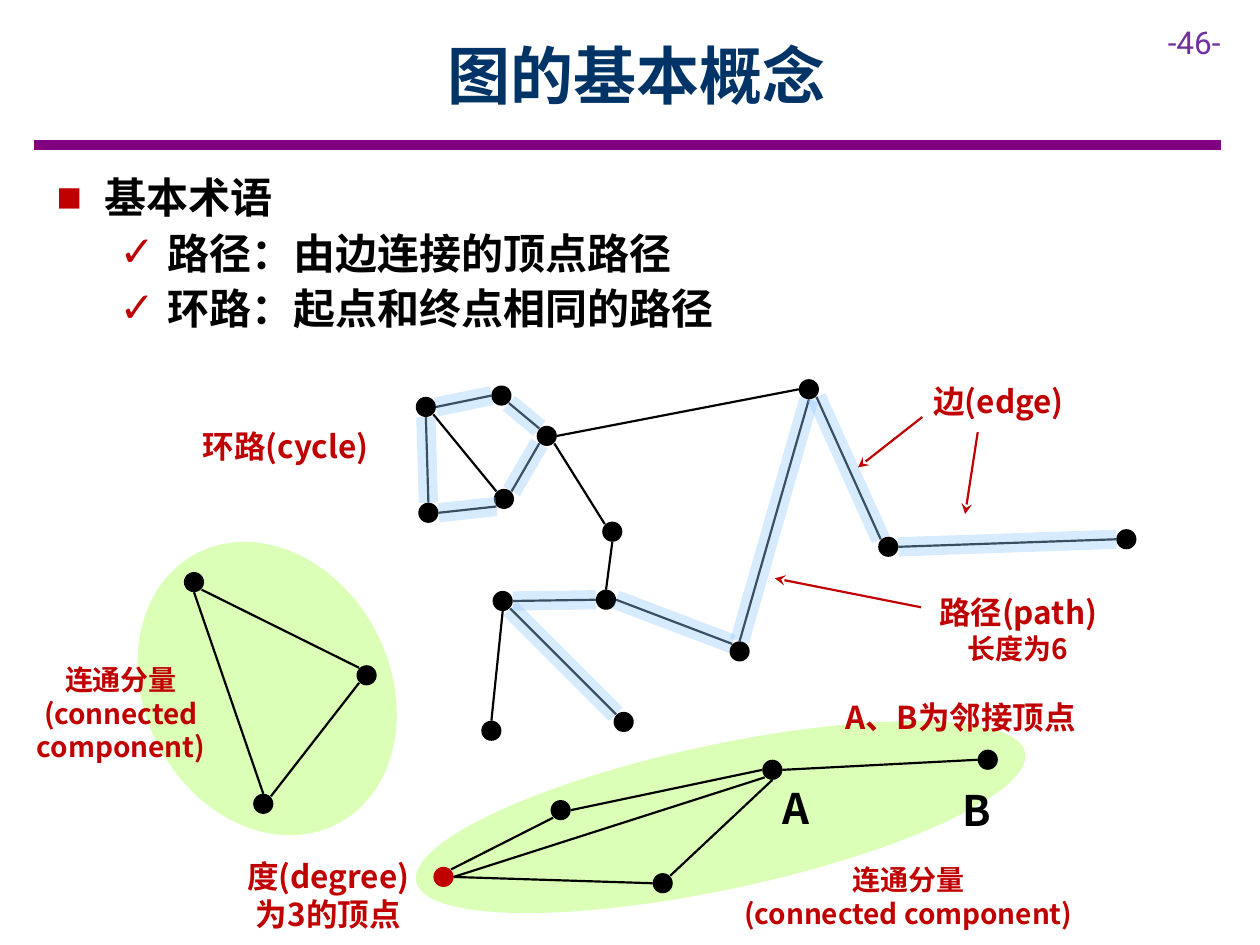
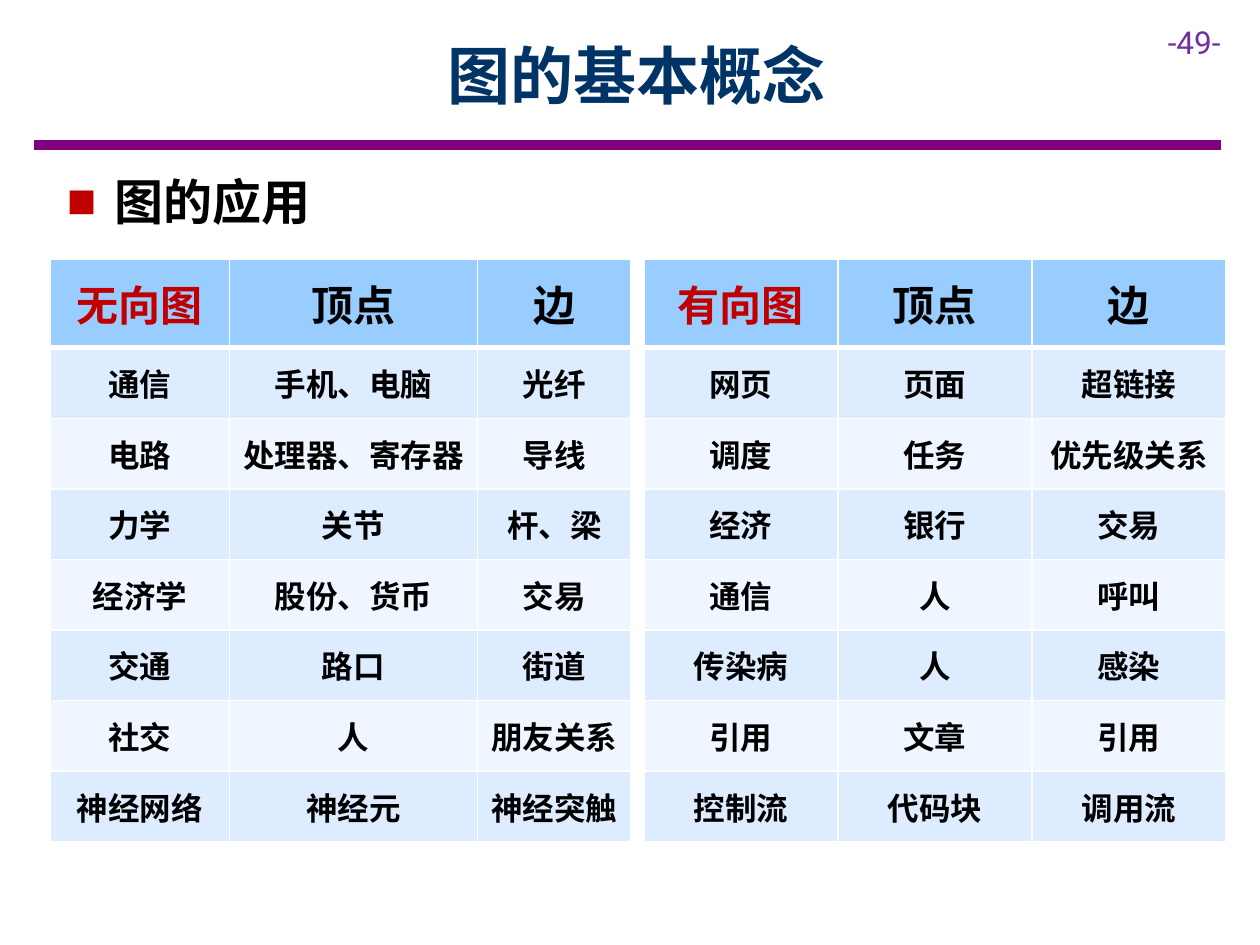
from dataclasses import dataclass
from typing import NamedTuple

from lxml import etree
from pptx import Presentation
from pptx.dml.color import RGBColor
from pptx.enum import shapes as kinds, text as txt
from pptx.oxml.ns import qn
from pptx.util import Emu, Inches, Pt


@dataclass(frozen=True)
class Theme:
    cjk: str = "Noto Sans CJK SC"
    number_font: str = "Roboto"
    black: str = "000000"
    white: str = "FFFFFF"
    red: str = "C00000"
    navy: str = "003366"
    purple: str = "800080"
    page_purple: str = "7030A0"
    lime: str = "99FF33"
    blue: str = "99CCFF"
    bands: tuple[str, str] = ("DEECFF", "EFF6FF")
    title_size: int = 36
    large: int = 28
    heading: int = 24
    normal: int = 18
    small: int = 16


THEME = Theme()


class Line(NamedTuple):
    text: str
    size: int = THEME.normal


class Item(NamedTuple):
    text: str
    size: int = THEME.heading
    level: int = 0


class Label(NamedTuple):
    box: tuple[float, float, float, float]
    lines: list[Line]
    centered: bool = False
    color: str = THEME.red


class Component(NamedTuple):
    box: tuple[float, float, float, float]
    rotation: float


class Edge(NamedTuple):
    start: str
    start_side: str
    end: str
    end_side: str
    highlighted: bool = False


class UseTable(NamedTuple):
    left: float
    widths: tuple[float, ...]
    rows: list[str]


NODE_RADIUS = 0.08
DIAGONAL = 0.06
SIDES = {
    "N": (0, -NODE_RADIUS), "S": (0, NODE_RADIUS),
    "W": (-NODE_RADIUS, 0), "E": (NODE_RADIUS, 0),
    "NW": (-DIAGONAL, -DIAGONAL), "NE": (DIAGONAL, -DIAGONAL),
    "SW": (-DIAGONAL, DIAGONAL), "SE": (DIAGONAL, DIAGONAL),
}

# Centres of the vertices
NODES = {
    "ring1": (3.38, 3.23), "ring2": (3.98, 3.14), "ring3": (4.34, 3.46),
    "ring4": (4.00, 3.96), "ring5": (3.40, 4.07),
    "stem": (4.86, 4.22), "fork": (4.81, 4.76), "branch": (3.99, 4.77),
    "leaf1": (3.90, 5.80), "leaf2": (4.95, 5.73),
    "valley": (5.87, 5.17), "peak": (6.42, 3.09),
    "bend": (7.05, 4.34), "far": (8.94, 4.28),
    "tri1": (1.54, 4.62), "tri2": (2.91, 5.36), "tri3": (2.09, 6.38),
    "degree3": (3.52, 6.96), "upper": (4.45, 6.43), "lower": (5.26, 7.01),
    "A": (6.13, 6.11), "B": (7.84, 6.03),
}

EDGES = [
    Edge("ring1", "S", "ring5", "N", True),
    Edge("ring1", "E", "ring2", "W", True),
    Edge("ring2", "SE", "ring3", "NW", True),
    Edge("ring3", "SW", "ring4", "NE", True),
    Edge("ring5", "E", "ring4", "SW", True),
    Edge("ring1", "SE", "ring4", "NW"),
    Edge("ring3", "SE", "stem", "NW"),
    Edge("stem", "S", "fork", "N"),
    Edge("fork", "W", "branch", "E", True),
    Edge("leaf1", "N", "branch", "S"),
    Edge("branch", "SE", "leaf2", "NW", True),
    Edge("fork", "E", "valley", "NW", True),
    Edge("peak", "S", "valley", "N", True),
    Edge("peak", "SE", "bend", "NW", True),
    Edge("far", "W", "bend", "E", True),
    Edge("peak", "W", "ring3", "E"),
    Edge("upper", "E", "A", "W"),
    Edge("A", "E", "B", "W"),
    Edge("lower", "NE", "A", "S"),
    Edge("degree3", "E", "A", "SW"),
    Edge("degree3", "NE", "upper", "SW"),
    Edge("degree3", "E", "lower", "W"),
    Edge("tri1", "SE", "tri2", "NW"),
    Edge("tri3", "NE", "tri2", "SW"),
    Edge("tri3", "N", "tri1", "S"),
]

COMPONENTS = [Component((0.91, 4.49, 2.42, 1.95), 62.6),
              Component((3.25, 5.91, 4.94, 1.15), 348)]

COMPONENT_NAME = [Line("连通分量", THEME.small),
                  Line("(connected component)", THEME.small)]
LABELS = [
    Label((7.31, 2.98, 1.28, 0.4), [Line("边(edge)")]),
    Label((6.61, 5.49, 2.08, 0.4), [Line("A、B为邻接顶点")]),
    Label((1.51, 3.34, 1.53, 0.4), [Line("环路(cycle)")]),
    Label((7.34, 4.66, 1.48, 0.67),
          [Line("路径(path)"), Line("长度为6", THEME.small)], True),
    Label((1.77, 6.75, 1.67, 0.71), [Line("度(degree)为3的顶点")], True),
    Label((5.41, 6.8, 3.6, 0.64), COMPONENT_NAME, True),
    Label((-0.16, 5.21, 2.24, 0.91), COMPONENT_NAME, True),
    Label((6.11, 6.16, 0.31, 0.5), [Line("A", THEME.heading)], color=THEME.black),
    Label((7.54, 6.18, 0.31, 0.5), [Line("B", THEME.heading)], color=THEME.black),
]

POINTERS = [((7.32, 3.31), (6.81, 3.71)), ((7.76, 3.43), (7.66, 4.08)),
            ((7.31, 4.82), (6.15, 4.59))]

TABLES = [
    UseTable(0.4, (1.42, 1.97, 1.22), [
        "无向图 顶点 边", "通信 手机、电脑 光纤", "电路 处理器、寄存器 导线",
        "力学 关节 杆、梁", "经济学 股份、货币 交易", "交通 路口 街道",
        "社交 人 朋友关系", "神经网络 神经元 神经突触"]),
    UseTable(5.11, (1.54, 1.54, 1.54), [
        "有向图 顶点 边", "网页 页面 超链接", "调度 任务 优先级关系",
        "经济 银行 交易", "通信 人 呼叫", "传染病 人 感染",
        "引用 文章 引用", "控制流 代码块 调用流"]),
]


def rgb(color: str) -> RGBColor:
    return RGBColor.from_string(color)


def inches(values) -> list[Emu]:
    return [Inches(value) for value in values]


def place(shape, box) -> None:
    shape.left, shape.top, shape.width, shape.height = inches(box)


def style(paragraph, size: int, color: str, bold: bool = True, font: str = THEME.cjk) -> None:
    """Set the Latin and East Asian type of a paragraph."""
    paragraph.font.size = Pt(size)
    paragraph.font.bold = bold
    paragraph.font.color.rgb = rgb(color)
    paragraph.font.name = font
    defaults = paragraph._p.pPr.find(qn("a:defRPr"))
    etree.SubElement(defaults, qn("a:ea"), typeface=font)


def set_alpha(holder, percent: int) -> None:
    """Make the solid colour below an XML element partly transparent."""
    color = next(holder.iter(qn("a:srgbClr")))
    etree.SubElement(color, qn("a:alpha"), val=str(percent * 1000))


def add_line(slide, start, end, color: str, width: float, alpha: int = 100, arrow: bool = False) -> None:
    line = slide.shapes.add_connector(kinds.MSO_CONNECTOR.STRAIGHT, *inches((*start, *end)))
    line.line.color.rgb = rgb(color)
    line.line.width = Pt(width)
    properties = line._element.spPr
    if alpha < 100:
        set_alpha(properties, alpha)
    if arrow:
        etree.SubElement(properties.find(qn("a:ln")), qn("a:tailEnd"), type="stealth")
    etree.SubElement(properties, qn("a:effectLst"))


def add_ellipse(slide, box, color: str):
    ellipse = slide.shapes.add_shape(kinds.MSO_SHAPE.OVAL, *inches(box))
    ellipse.shadow.inherit = False
    ellipse.fill.solid()
    ellipse.fill.fore_color.rgb = rgb(color)
    ellipse.line.fill.background()
    return ellipse


def add_text(slide, box):
    frame = slide.shapes.add_textbox(*inches(box)).text_frame
    frame.word_wrap = True
    frame.auto_size = txt.MSO_AUTO_SIZE.SHAPE_TO_FIT_TEXT
    return frame


def add_label(slide, label: Label) -> None:
    frame = add_text(slide, label.box)
    for index, line in enumerate(label.lines):
        paragraph = frame.add_paragraph() if index else frame.paragraphs[0]
        paragraph.text = line.text
        if label.centered:
            paragraph.alignment = txt.PP_ALIGN.CENTER
        style(paragraph, line.size, label.color)


def add_bullet(paragraph, level: int) -> None:
    properties = paragraph._p.get_or_add_pPr()
    properties.set("marL", str(Inches(0.38 + level * 0.5)))
    properties.set("indent", str(Inches(-0.38)))
    color = etree.SubElement(properties, qn("a:buClr"))
    etree.SubElement(color, qn("a:srgbClr"), val=THEME.red)
    etree.SubElement(properties, qn("a:buChar"), char="■✓"[level])


def add_slide(deck, number: int, list_box, items: list[Item]):
    """Add a slide with the shared title, rule and page number, and its list."""
    slide = deck.slides.add_slide(deck.slide_layouts[1])
    add_line(slide, (0.27, 1.15), (9.69, 1.15), THEME.purple, 6)
    page = add_text(slide, (9.17, 0.13, 0.83, 0.4)).paragraphs[0]
    page.text = f"-{number}-"
    style(page, THEME.normal, THEME.page_purple, False, THEME.number_font)

    title, body = slide.placeholders
    place(title, (0.9, 0.09, 8.31, 1))
    title.text_frame.text = "图的基本概念"
    title.text_frame.vertical_anchor = txt.MSO_ANCHOR.MIDDLE
    title.text_frame.auto_size = txt.MSO_AUTO_SIZE.NONE
    heading = title.text_frame.paragraphs[0]
    heading.alignment = txt.PP_ALIGN.CENTER
    style(heading, THEME.title_size, THEME.navy)

    place(body, list_box)
    frame = body.text_frame
    frame.auto_size = txt.MSO_AUTO_SIZE.SHAPE_TO_FIT_TEXT
    frame.text = "\n".join(item.text for item in items)
    for paragraph, item in zip(frame.paragraphs, items):
        paragraph.level = item.level
        paragraph.space_before = Pt(0)
        paragraph.space_after = Pt(3)
        add_bullet(paragraph, item.level)
        style(paragraph, item.size, THEME.black)
    return slide


def rim(node: str, side: str) -> tuple[float, float]:
    """Point on the outline of a vertex."""
    (x, y), (dx, dy) = NODES[node], SIDES[side]
    return x + dx, y + dy


def draw_graph(slide) -> None:
    for component in COMPONENTS:
        area = add_ellipse(slide, component.box, THEME.lime)
        area.rotation = component.rotation
        set_alpha(area._element.spPr, 35)
    for name, (x, y) in NODES.items():
        add_ellipse(slide, (x - NODE_RADIUS, y - NODE_RADIUS, 2 * NODE_RADIUS, 2 * NODE_RADIUS),
                    THEME.red if name == "degree3" else THEME.black)
    spans = [(rim(e.start, e.start_side), rim(e.end, e.end_side), e.highlighted) for e in EDGES]
    for start, end, _ in spans:
        add_line(slide, start, end, THEME.black, 1.25)
    for start, end, highlighted in spans:
        if highlighted:
            add_line(slide, start, end, THEME.blue, 11, alpha=38)
    for start, end in POINTERS:
        add_line(slide, start, end, THEME.red, 1.25, arrow=True)
    for label in LABELS:
        add_label(slide, label)


def add_borders(cell, top: float, bottom: float) -> None:
    for side, width in (("L", 1), ("R", 1), ("T", top), ("B", bottom)):
        border = etree.SubElement(cell._tc.get_or_add_tcPr(), qn(f"a:ln{side}"), w=str(Pt(width)))
        fill = etree.SubElement(border, qn("a:solidFill"))
        etree.SubElement(fill, qn("a:srgbClr"), val=THEME.white)


def add_use_table(slide, uses: UseTable) -> None:
    table = slide.shapes.add_table(len(uses.rows), len(uses.widths), *inches(
        (uses.left, 2.06, sum(uses.widths), 4.61))).table
    for column, width in zip(table.columns, uses.widths):
        column.width = Inches(width)
    for r, row in enumerate(uses.rows):
        table.rows[r].height = Inches(0.56 if r else 0.7)
        for c, word in enumerate(row.split()):
            cell = table.cell(r, c)
            add_borders(cell, top=3 if r == 1 else 1, bottom=1 if r else 3)
            cell.fill.solid()
            cell.fill.fore_color.rgb = rgb(THEME.bands[(r - 1) % 2] if r else THEME.blue)
            cell.vertical_anchor = txt.MSO_ANCHOR.MIDDLE
            cell.text = word
            paragraph = cell.text_frame.paragraphs[0]
            paragraph.alignment = txt.PP_ALIGN.CENTER
            style(paragraph, THEME.normal if r else THEME.heading,
                  THEME.red if r == c == 0 else THEME.black)


def main() -> None:
    deck = Presentation()
    deck.slide_width, deck.slide_height = Inches(10), Inches(7.5)
    terms = add_slide(deck, 46, (0.35, 1.31, 9.45, 1.4), [
        Item("基本术语"), Item("路径：由边连接的顶点路径", level=1),
        Item("环路：起点和终点相同的路径", level=1)])
    draw_graph(terms)
    applications = add_slide(deck, 49, (0.43, 1.31, 2.83, 0.57), [Item("图的应用", THEME.large)])
    for uses in TABLES:
        add_use_table(applications, uses)
    deck.save("out.pptx")


if __name__ == "__main__":
    main()
